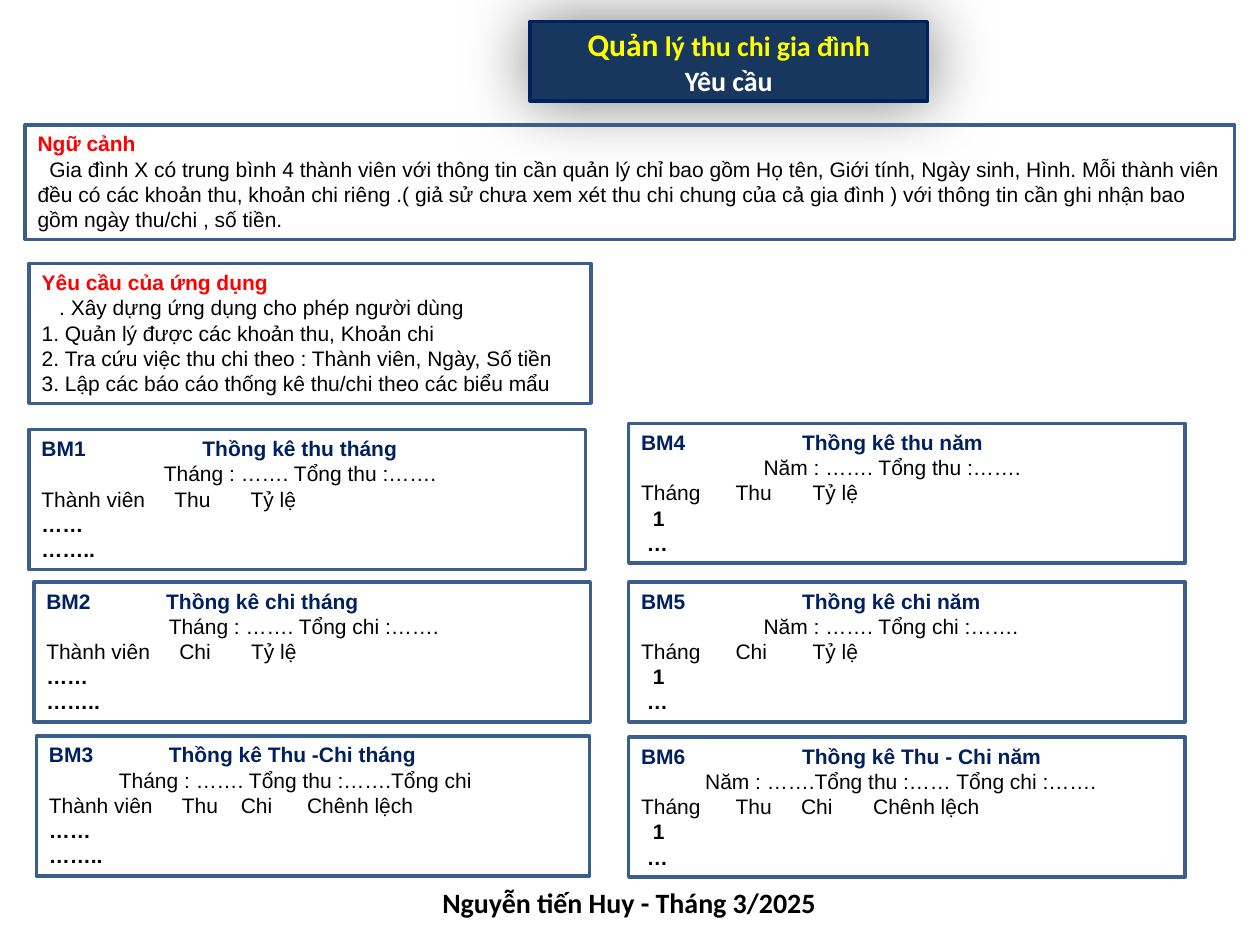
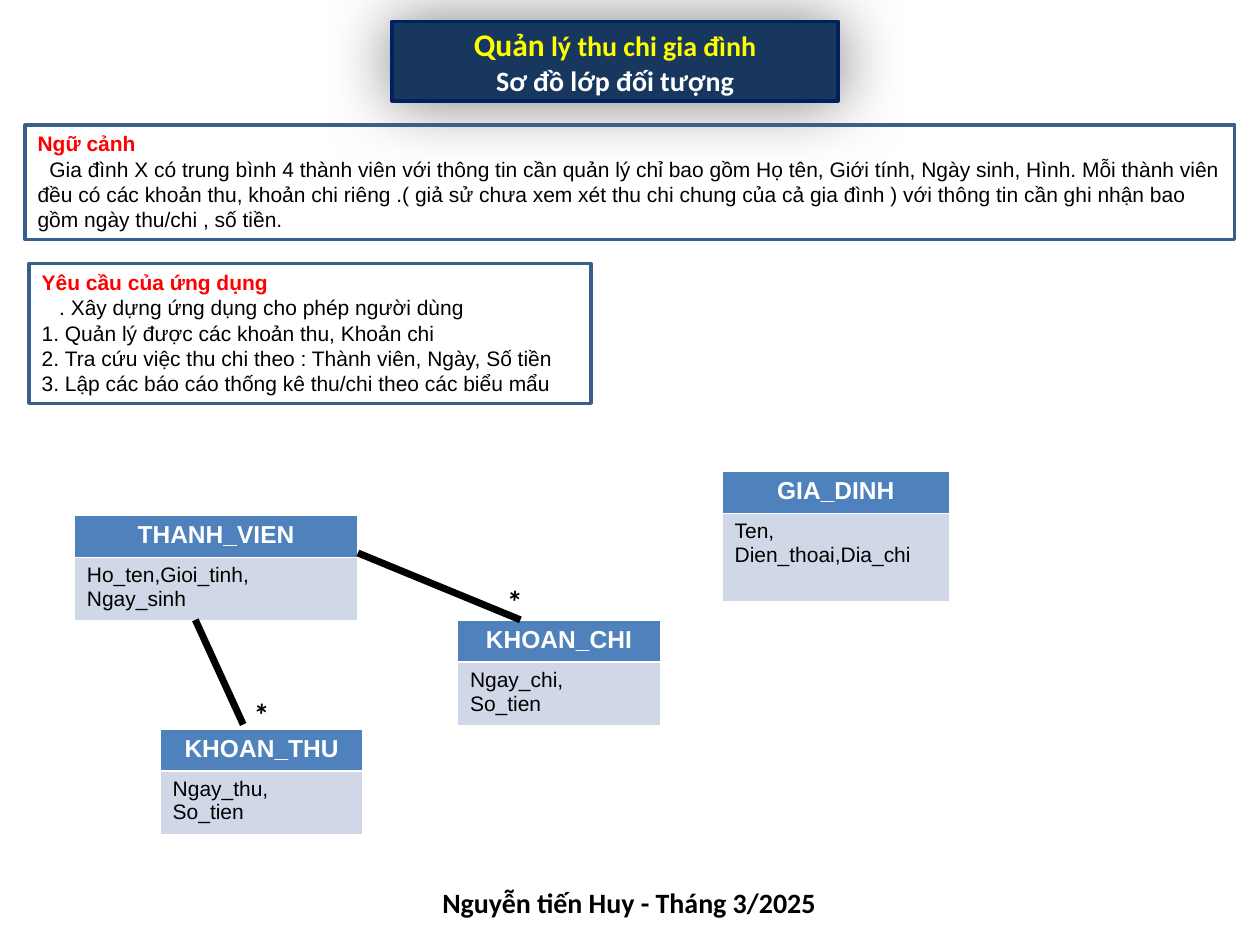
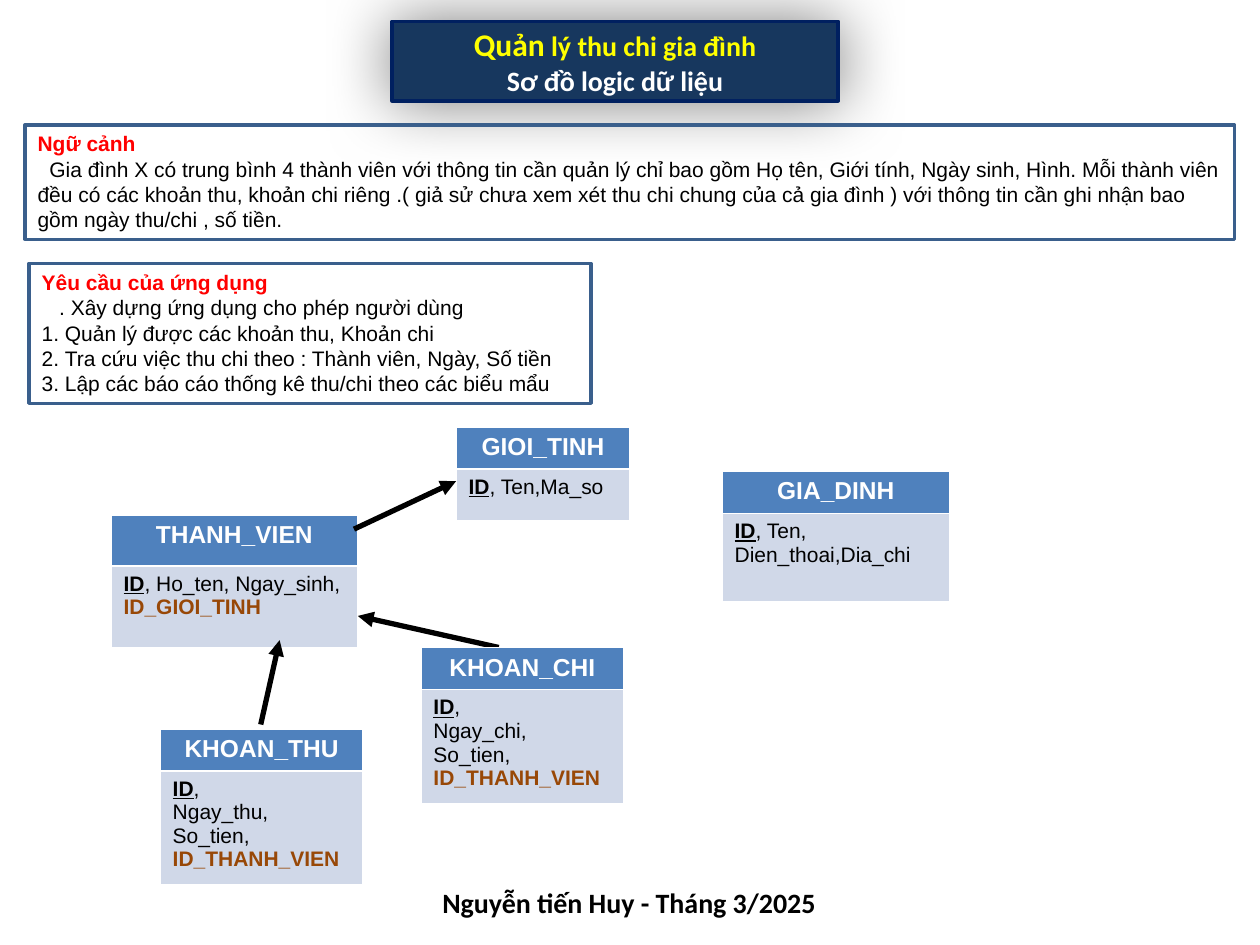
from lxml.etree import SubElement
from pptx import Presentation
from pptx.dml.color import RGBColor
from pptx.enum.shapes import MSO_CONNECTOR, MSO_SHAPE
from pptx.enum.text import MSO_ANCHOR, MSO_AUTO_SIZE as AUTO_SIZE, PP_ALIGN
from pptx.oxml.ns import qn
from pptx.util import Pt

COLORS = {
    "heading": "FF0000",
    "form": "002060",
    "text": "000000",
    "frame": "3A5F8C",
    "banner": "17375E",
    "topic": "FFFF00",
    "white": "FFFFFF",
    "class_head": "4F81BD",
    "class_body": "D0D8E8",
    "foreign_key": "984807",
}
CONTEXT = (
    "Gia đình X có trung bình 4 thành viên với thông tin cần quản lý chỉ bao gồm "
    "Họ tên, Giới tính, Ngày sinh, Hình. Mỗi thành viên đều có các khoản thu, khoản "
    "chi riêng .( giả sử chưa xem xét thu chi chung của cả gia đình ) với thông tin "
    "cần ghi nhận bao gồm ngày thu/chi , số tiền."
)
REQUIREMENTS = [
    "Quản lý được các khoản thu, Khoản chi",
    "Tra cứu việc thu chi theo : Thành viên, Ngày, Số tiền",
    "Lập các báo cáo thống kê thu/chi theo các biểu mẩu",
]
MONTH_ROWS = [("……", 0), ("……..", 0)]
YEAR_ROWS = [("1", 6.7), ("…", 3.3)]
# left, top, width, header and its tab, summary and its indent, columns and their tabs, rows
FORMS = [
    (16.6, 245.5, 318, "BM1\tThồng kê thu tháng", 92,
     "Tháng : ……. Tổng thu :…….", 70, "Thành viên\tThu\tTỷ lệ", (76, 119.5), MONTH_ROWS),
    (19.4, 332.6, 318, "BM2\tThồng kê chi tháng", 68.5,
     "Tháng : ……. Tổng chi :…….", 70, "Thành viên\tChi\tTỷ lệ", (76, 117), MONTH_ROWS),
    (20.9, 420.5, 316, "BM3\tThồng kê Thu -Chi tháng", 68.5,
     "Tháng : ……. Tổng thu :…….Tổng chi", 40, "Thành viên\tThu\tChi\tChênh lệch",
     (76, 109.7, 147.5), MONTH_ROWS),
    (359.3, 241.9, 318, "BM4\tThồng kê thu năm", 92,
     "Năm : ……. Tổng thu :…….", 70, "Tháng\tThu\tTỷ lệ", (54, 98), YEAR_ROWS),
    (359.3, 332.6, 318, "BM5\tThồng kê chi năm", 92,
     "Năm : ……. Tổng chi :…….", 70, "Tháng\tChi\tTỷ lệ", (54, 98), YEAR_ROWS),
    (359.3, 421.2, 318, "BM6\tThồng kê Thu - Chi năm", 92,
     "Năm : …….Tổng thu :…… Tổng chi :…….", 36.6, "Tháng\tThu\tChi\tChênh lệch",
     (54, 91.4, 132.6), YEAR_ROWS),
]


def rgb(name):
    return RGBColor.from_string(COLORS[name])


def style(run, size=12, color="text", bold=False, font="Arial"):
    run.font.size, run.font.name, run.font.bold = Pt(size), font, bold
    run.font.color.rgb = rgb(color)


def set_indent(paragraph, margin, first=0):
    properties = paragraph._p.get_or_add_pPr()
    properties.set("marL", str(Pt(margin)))
    properties.set("indent", str(Pt(first)))
    return properties


def set_tabs(paragraph, stops):
    tab_list = SubElement(paragraph._p.get_or_add_pPr(), qn("a:tabLst"))
    for stop in stops:
        SubElement(tab_list, qn("a:tab"), pos=str(Pt(stop)), algn="l")


class Deck:
    def __init__(self):
        self.prs = Presentation()
        self.prs.slide_width, self.prs.slide_height = Pt(720), Pt(540)
        self.slide = None

    def start_slide(self, subtitle, left=224, width=255):
        """Adds a slide with the banner, context, requirements and footer."""
        self.slide = self.prs.slides.add_slide(self.prs.slide_layouts[1])
        self.banner(subtitle, left, width)
        context = self.frame(14.4, 71.3, 691, 65.5)
        self.lines(context, ["Ngữ cảnh", CONTEXT], "heading")
        set_indent(context.paragraphs[1], 0, 6.7)
        self.requirements()
        footer = self.text("Nguyễn tiến Huy - Tháng 3/2025", 213, 501, 293, 29, 16)
        footer.text_frame.vertical_anchor = MSO_ANCHOR.MIDDLE
        footer.text_frame.paragraphs[0].alignment = PP_ALIGN.CENTER

    def place(self, shape, left, top, width, height):
        shape.left, shape.top = Pt(left), Pt(top)
        shape.width, shape.height = Pt(width), Pt(height)

    def outline(self, shape, color):
        shape.line.color.rgb = rgb(color)
        shape.line.width = Pt(2)

    def banner(self, subtitle, left, width):
        title = self.slide.shapes.title
        self.place(title, left, 12.2, width, 45.4)
        properties = title._element.spPr
        geometry = SubElement(properties, qn("a:prstGeom"), prst="roundRect")
        SubElement(geometry, qn("a:avLst"))
        title.fill.solid()
        title.fill.fore_color.rgb = rgb("banner")
        self.outline(title, "form")
        effects = SubElement(properties, qn("a:effectLst"))
        shadow = SubElement(effects, qn("a:outerShdw"), blurRad=str(Pt(38)),
                            dist="0", dir="5400000", rotWithShape="0")
        tint = SubElement(shadow, qn("a:srgbClr"), val=COLORS["text"])
        SubElement(tint, qn("a:alpha"), val="49000")

        frame = title.text_frame
        frame.text = f"Quản\n{subtitle}"
        frame.auto_size = AUTO_SIZE.NONE
        frame.vertical_anchor = MSO_ANCHOR.MIDDLE
        topic, subject = frame.paragraphs
        topic.add_run().text = " lý thu chi gia đình"
        topic.alignment = subject.alignment = PP_ALIGN.CENTER
        runs = (*topic.runs, *subject.runs)
        for run, size, color in zip(runs, (18, 16, 16), ("topic", "topic", "white")):
            style(run, size, color, True, "Calibri")

    def frame(self, left, top, width, height):
        box = self.slide.shapes.add_shape(
            MSO_SHAPE.RECTANGLE, Pt(left), Pt(top), Pt(width), Pt(height))
        box.shadow.inherit = False
        box.fill.background()
        self.outline(box, "frame")
        box.text_frame.word_wrap = True
        box.text_frame.vertical_anchor = MSO_ANCHOR.TOP
        return box.text_frame

    def lines(self, frame, texts, head_color):
        """Fills a text frame; the first line is its bold coloured heading."""
        frame.text = "\n".join(texts)
        for row, paragraph in enumerate(frame.paragraphs):
            paragraph.alignment = PP_ALIGN.LEFT
            paragraph.space_before = Pt(0)
            for run in paragraph.runs:
                style(run, color="text" if row else head_color, bold=not row)

    def requirements(self):
        body = self.slide.placeholders[1]
        self.place(body, 16.6, 150.5, 321, 80)
        self.outline(body, "frame")
        frame = body.text_frame
        frame.auto_size = AUTO_SIZE.NONE
        self.lines(frame, ["Yêu cầu của ứng dụng",
                           ". Xây dựng ứng dụng cho phép người dùng", *REQUIREMENTS], "heading")
        heading, purpose, *items = frame.paragraphs
        for paragraph, margin in ((heading, 0), (purpose, 10)):
            SubElement(set_indent(paragraph, margin), qn("a:buNone"))
        for item in items:
            properties = set_indent(item, 13.3, -13.3)
            SubElement(properties, qn("a:buFont"), typeface="Arial")
            SubElement(properties, qn("a:buAutoNum"), type="arabicPeriod")

    def form(self, left, top, width, header, header_tab, summary, summary_indent,
             columns, column_tabs, rows):
        frame = self.frame(left, top, width, 80)
        self.lines(frame, [header, summary, columns, *(text for text, _ in rows)], "form")
        head, total, column_line, *row_lines = frame.paragraphs
        set_tabs(head, [header_tab])
        set_indent(total, summary_indent)
        set_tabs(column_line, column_tabs)
        for paragraph, (_, margin) in zip(row_lines, rows):
            set_indent(paragraph, margin)
            paragraph.runs[0].font.bold = True

    def text(self, words, left, top, width, height, size):
        box = self.slide.shapes.add_textbox(Pt(left), Pt(top), Pt(width), Pt(height))
        box.text_frame.word_wrap = True
        box.text_frame.text = words
        style(box.text_frame.paragraphs[0].runs[0], size, bold=True, font="Calibri")
        return box

    def many(self, left, top):
        self.text("*", left, top, 17.3, 28.8, 18).rotation = 184.9

    def entity(self, name, fields, left, top, width, height, head_height=23.5):
        """Draws a class; an ID field is a key and an ID_ line a foreign key."""
        table = self.slide.shapes.add_table(
            2, 1, Pt(left), Pt(top), Pt(width), Pt(height)).table
        table.horz_banding = False
        table.rows[0].height = Pt(head_height)
        table.rows[1].height = Pt(height - head_height)
        head, body = table.cell(0, 0), table.cell(1, 0)
        for cell, fill in ((head, "class_head"), (body, "class_body")):
            cell.fill.solid()
            cell.fill.fore_color.rgb = rgb(fill)
        head.text = name
        head.text_frame.paragraphs[0].alignment = PP_ALIGN.CENTER
        style(head.text_frame.paragraphs[0].runs[0], 14, "white", True)

        body.text = "\n".join(fields)
        for paragraph, field in zip(body.text_frame.paragraphs, fields):
            run = paragraph.runs[0]
            foreign = field.startswith("ID_")
            style(run, color="foreign_key" if foreign else "text", bold=foreign)
            if field.startswith("ID,"):
                run.text = "ID"
                run.font.bold = run.font.underline = True
                rest = paragraph.add_run()
                rest.text = field.removeprefix("ID")
                style(rest)

    def link(self, x1, y1, x2, y2, width=4, arrow=False):
        """Draws a relation; an arrow points at its first end."""
        line = self.slide.shapes.add_connector(
            MSO_CONNECTOR.STRAIGHT, Pt(x1), Pt(y1), Pt(x2), Pt(y2))
        line.line.color.rgb = rgb("text")
        line.line.width = Pt(width)
        if arrow:
            SubElement(line.line._get_or_add_ln(), qn("a:headEnd"), type="triangle")
        SubElement(line._element.spPr, qn("a:effectLst"))


def main():
    deck = Deck()

    deck.start_slide("Yêu cầu", 303, 227)
    for form in FORMS:
        deck.form(*form)

    deck.start_slide("Sơ đồ lớp đối tượng")
    deck.entity("THANH_VIEN", ["Ho_ten,Gioi_tinh,", "Ngay_sinh"], 42.5, 294.5, 162, 59.8)
    deck.entity("KHOAN_THU", ["Ngay_thu,", "So_tien"], 91.5, 416.5, 116, 59.8)
    deck.entity("GIA_DINH", ["Ten,", "Dien_thoai,Dia_chi"], 412.6, 269.3, 130, 74.2)
    deck.entity("KHOAN_CHI", ["Ngay_chi,", "So_tien"], 261.4, 354.3, 116, 59.8)
    deck.link(204.5, 316, 297.4, 354.2)
    deck.many(288.7, 324)
    deck.link(111.6, 354.2, 139, 414)
    deck.many(144, 388)

    deck.start_slide("Sơ đồ logic dữ liệu")
    deck.entity("THANH_VIEN", ["ID, Ho_ten, Ngay_sinh,", "ID_GIOI_TINH"],
                63.4, 294.5, 141, 75.6, 28.8)
    deck.entity("KHOAN_THU", ["ID,", "Ngay_thu,", "So_tien,", "ID_THANH_VIEN"],
                91.5, 416.5, 116, 88.6)
    deck.entity("GIA_DINH", ["ID, Ten,", "Dien_thoai,Dia_chi"], 412.6, 269.3, 130, 74.2)
    deck.entity("GIOI_TINH", ["ID, Ten,Ma_so"], 260.6, 244, 99.4, 53.3)
    deck.link(159.8, 365.8, 149, 414, 3, True)
    deck.link(204.5, 352, 285, 370, 3, True)
    deck.link(260.6, 275, 202.3, 302.4, 3, True)
    deck.entity("KHOAN_CHI", ["ID,", "Ngay_chi,", "So_tien,", "ID_THANH_VIEN"],
                240.5, 370, 116, 88.6)

    deck.prs.save("out.pptx")


if __name__ == "__main__":
    main()
